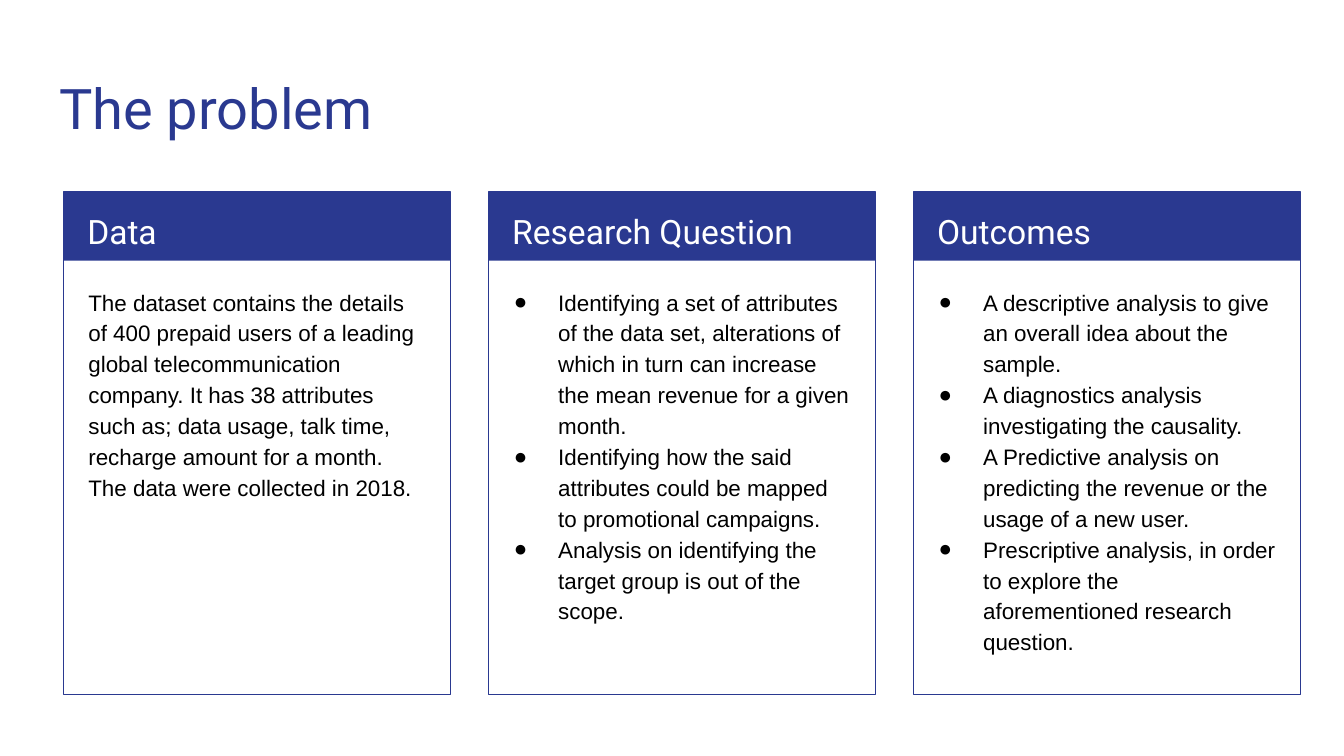
"""Build the slide that sets out the problem in three framed columns."""
import pptx
import pptx.dml.color
import pptx.enum.shapes
import pptx.enum.text
import pptx.oxml
import pptx.oxml.ns
import pptx.util

Cm = pptx.util.Cm
Pt = pptx.util.Pt
RGBColor = pptx.dml.color.RGBColor

BLUE = RGBColor(0x2A, 0x39, 0x90)
WHITE = RGBColor(255, 255, 255)
BLACK = RGBColor(0, 0, 0)

LEFT, STEP, WIDTH, TOP = 1.2, 8.03, 7.32, 3.63

FRAME = {
    "margin_left": Cm(0.25),
    "margin_right": Cm(0.25),
    "margin_top": Cm(0.25),
    "margin_bottom": Cm(0.25),
    "word_wrap": True,
    "auto_size": pptx.enum.text.MSO_AUTO_SIZE.NONE,
    "vertical_anchor": pptx.enum.text.MSO_ANCHOR.TOP,
}
PARA = {
    "alignment": pptx.enum.text.PP_ALIGN.LEFT,
    "line_spacing": 1.15,
    "space_before": Pt(0),
    "space_after": Pt(0),
}
TITLE = {"name": "Roboto", "size": Pt(30), "bold": False}
HEAD = {"name": "Roboto", "size": Pt(18), "bold": False}
BODY = {"name": "Arial", "size": Pt(12), "bold": False}

COLUMNS = [
    ("Data", 0.22, 6.88, False, [
        "The dataset contains the details of 400 prepaid users of a leading "
        "global telecommunication company. It has 38 attributes such as; data "
        "usage, talk time, recharge amount for a month. The data were "
        "collected in 2018.",
    ]),
    ("Research Question", -0.2, 7.32, True, [
        "Identifying a set of attributes of the data set, alterations of which "
        "in turn can increase the mean revenue for a given month.",
        "Identifying how the said attributes could be mapped to promotional "
        "campaigns.",
        "Analysis on identifying the target group is out of the scope.",
    ]),
    ("Outcomes", -0.2, 7.32, True, [
        "A descriptive analysis to give an overall idea about the sample.",
        "A diagnostics analysis investigating the causality.",
        "A Predictive analysis on predicting the revenue or the usage of a new "
        "user.",
        "Prescriptive analysis, in order to explore the aforementioned "
        "research question.",
    ]),
]


def apply(item, values):
    """Set each attribute named in the dict."""
    for name, value in values.items():
        setattr(item, name, value)


def place(shape, left, top, width, height):
    """Move and size a shape, in centimetres."""
    apply(shape, {"left": Cm(left), "top": Cm(top),
                  "width": Cm(width), "height": Cm(height)})


def mark(para, listed):
    """Give a paragraph a hanging bullet, or none."""
    props = para._p.get_or_add_pPr()
    props.set("marL", str(Cm(1.27) if listed else 0))
    props.set("indent", str(Cm(-0.84) if listed else 0))
    names = pptx.oxml.ns.nsdecls("a")
    parts = [f"<a:buNone {names}/>"]
    if listed:
        parts = [
            f'<a:buClr {names}><a:srgbClr val="{BLACK}"/></a:buClr>',
            f'<a:buFont {names} typeface="Arial"/>',
            f'<a:buChar {names} char="●"/>',
        ]
    for part in parts:
        props.append(pptx.oxml.parse_xml(part))


def write(shape, lines, font, color, listed=False, space=1.15):
    """Fill a shape with formatted paragraphs."""
    frame = shape.text_frame
    apply(frame, FRAME)
    frame.text = "\n".join(lines)
    for para in frame.paragraphs:
        apply(para, {**PARA, "line_spacing": space})
        mark(para, listed)
        for run in para.runs:
            apply(run.font, font)
            run.font.color.rgb = color


def add_box(slide, left, height, filled):
    """Add a solid bar or an outlined frame."""
    box = slide.shapes.add_shape(
        pptx.enum.shapes.MSO_SHAPE.RECTANGLE,
        Cm(left), Cm(TOP), Cm(WIDTH), Cm(height))
    box.shadow.inherit = False
    if filled:
        box.fill.solid()
        box.fill.fore_color.rgb = BLUE
        box.line.fill.background()
    else:
        box.fill.background()
        box.line.color.rgb = BLUE
        box.line.width = Pt(0.75)


def add_column(slide, left, body, column):
    """Add one framed column with its heading and text."""
    head, shift, width, listed, lines = column
    add_box(slide, left, 1.3, True)
    add_box(slide, left, 9.5, False)
    label = slide.shapes.add_textbox(
        Cm(left + 0.2), Cm(TOP), Cm(6.93), Cm(1.27))
    write(label, [head], HEAD, WHITE)
    place(body, left + shift, 5.13, width, 7.77)
    write(body, lines, BODY, BLACK, listed)


def main():
    """Build and save the slide."""
    deck = pptx.Presentation()
    apply(deck, {"slide_width": Cm(25.4), "slide_height": Cm(14.29)})
    slide = deck.slides.add_slide(deck.slide_layouts.get_by_name("Comparison"))
    title, *bodies = slide.placeholders
    place(title, 0.87, 1.14, 23.67, 1.68)
    write(title, ["The problem"], TITLE, BLUE, space=1.0)
    for index, column in enumerate(COLUMNS):
        add_column(slide, LEFT + index * STEP, bodies[index], column)
    for spare in bodies[len(COLUMNS):]:
        spare.element.getparent().remove(spare.element)
    deck.save("out.pptx")


if __name__ == "__main__":
    main()
